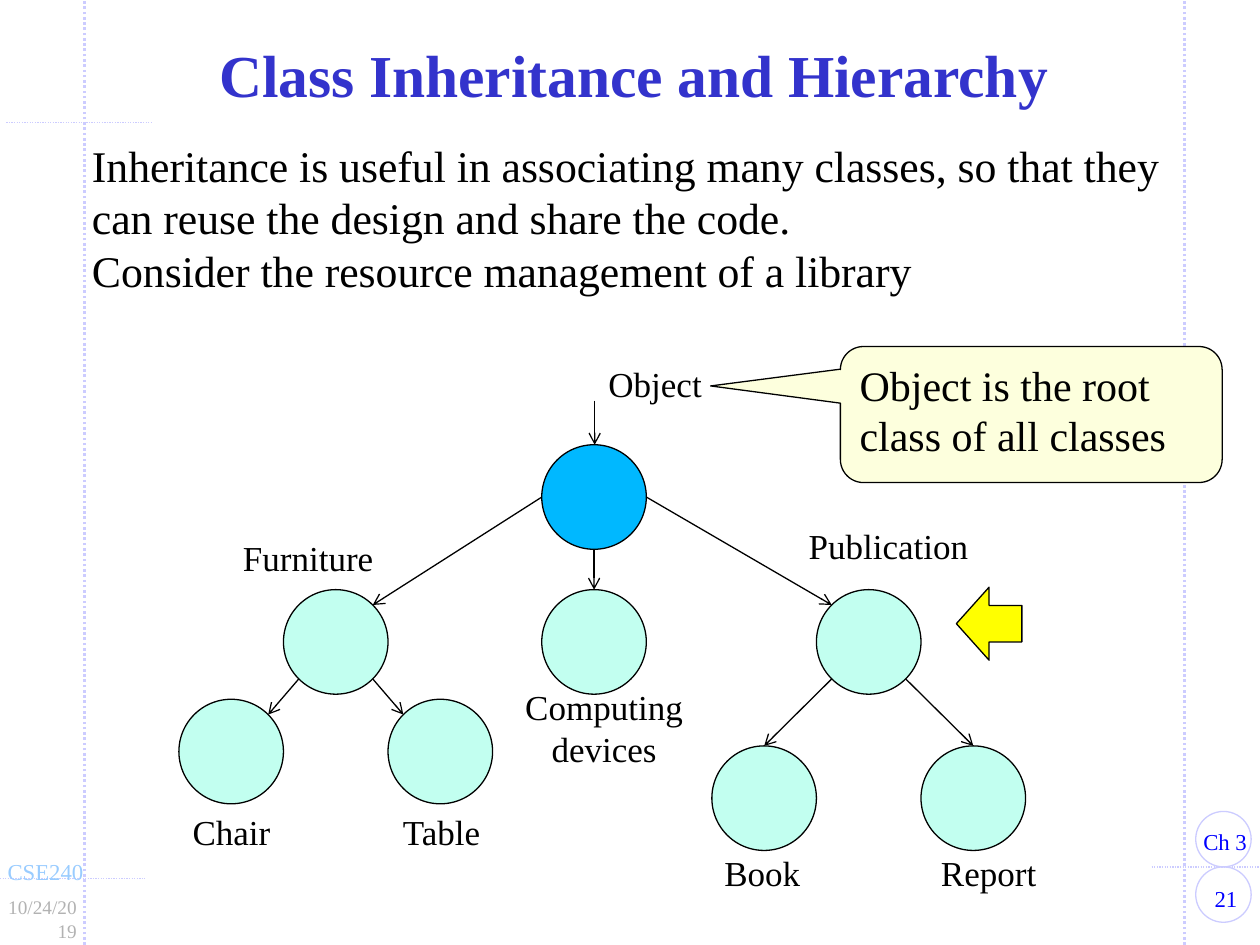
import math

import pptx
import pptx.dml.color
import pptx.enum.dml
import pptx.enum.shapes
import pptx.enum.text
import pptx.oxml
import pptx.oxml.ns
import pptx.util

shape_type = pptx.enum.shapes.MSO_SHAPE
align = pptx.enum.text.PP_ALIGN
anchor = pptx.enum.text.MSO_ANCHOR
color = pptx.dml.color.RGBColor.from_string
qn = pptx.oxml.ns.qn

deck = pptx.Presentation()
deck.slide_width = pptx.util.Inches(10)
deck.slide_height = pptx.util.Inches(7.5)
slide = deck.slides.add_slide(deck.slide_layouts[1])
shapes = slide.shapes

# Grid of 10 columns by 7.5 rows
COL = deck.slide_width / 10
ROW = deck.slide_height / 7.5
BLACK, PALE, GUIDE, MINT = "000000", "FDFFDD", "CCCCFF", "C2FFF0"


def grid(left, top, width, height):
    return int(left * COL), int(top * ROW), int(width * COL), int(height * ROW)


def write(shape, text, size=20, ink=BLACK, bold=False, alignment=align.LEFT,
          vertical=anchor.TOP, wrap=True, spacing=None, inset=0.1):
    frame = shape.text_frame
    frame.text = text
    frame.word_wrap = wrap
    frame.auto_size = pptx.enum.text.MSO_AUTO_SIZE.NONE
    frame.vertical_anchor = vertical
    frame.margin_left = frame.margin_right = pptx.util.Inches(inset)
    frame.margin_top = frame.margin_bottom = pptx.util.Inches(0.05)
    for paragraph in frame.paragraphs:
        paragraph.alignment = alignment
        paragraph.space_before = pptx.util.Pt(0)
        paragraph.line_spacing = spacing
        for run in paragraph.runs:
            run.font.name = "Times New Roman"
            run.font.size = pptx.util.Pt(size)
            run.font.bold = bold
            run.font.color.rgb = color(ink)


# Title and introduction
title = shapes.title
title.left, title.top, title.width, title.height = grid(0.62, 0.28, 8.82, 0.7)
write(title, "Class Inheritance and Hierarchy", size=34, ink="3333CC", bold=True,
      alignment=align.CENTER, vertical=anchor.MIDDLE, spacing=0.85, inset=0.11)

intro = slide.placeholders[1]
intro.left, intro.top, intro.width, intro.height = grid(0.62, 1.05, 9.08, 1.37)
write(intro, "Inheritance is useful in associating many classes, so that they can reuse "
      "the design and share the code.\nConsider the resource management of a library",
      size=25, inset=0.11)
for paragraph in intro.text_frame.paragraphs:
    properties = paragraph._p.get_or_add_pPr()
    properties.set("marL", "0")
    properties.set("indent", "0")
    properties.append(pptx.oxml.parse_xml(
        '<a:buNone xmlns:a="http://schemas.openxmlformats.org/drawingml/2006/main"/>'))

# Class tree: left and top of each circle
SIZE = 0.83
RADIUS = SIZE / 2
tree = {
    "Object": (4.3, 3.53),
    "Furniture": (2.25, 4.68),
    "Computing devices": (4.3, 4.68),
    "Publication": (6.48, 4.68),
    "Chair": (1.42, 5.55),
    "Table": (3.08, 5.55),
    "Book": (5.65, 5.92),
    "Report": (7.31, 5.92),
}
# Parent, angle where the arrow leaves, child, angle where it arrives
# (degrees clockwise from the right)
inheritance = [
    ("Object", 180, "Furniture", 315),
    ("Object", 90, "Computing devices", 270),
    ("Object", 0, "Publication", 225),
    ("Furniture", 135, "Chair", 315),
    ("Furniture", 45, "Table", 225),
    ("Publication", 135, "Book", 270),
    ("Publication", 45, "Report", 270),
]

# Lines: guides and inheritance arrows
lines = [
    (0.67, 7.5, 0.67, 0, 1.5, False),
    (9.4, 7.5, 9.4, 0, 1.5, False),
    (0, 6.97, 1.15, 6.97, 0.75, False),
    (9.14, 6.88, 10, 6.88, 0.75, False),
    (0.05, 0.97, 1.2, 0.97, 0.75, False),
    (4.72, 3.18, 4.72, 3.53, 0.75, True),
]
for parent, leave, child, arrive in inheritance:
    ends = []
    for name, degrees in ((parent, leave), (child, arrive)):
        left, top = tree[name]
        angle = math.radians(degrees)
        ends += [left + RADIUS * (1 + math.cos(angle)),
                 top + RADIUS * (1 + math.sin(angle))]
    lines.append((*ends, 0.75, True))

for x1, y1, x2, y2, width, is_arrow in lines:
    link = shapes.add_connector(pptx.enum.shapes.MSO_CONNECTOR.STRAIGHT,
                                *grid(x1, y1, x2, y2))
    link.line.color.rgb = color(BLACK if is_arrow else GUIDE)
    link.line.width = pptx.util.Pt(width)
    properties = link.element.spPr
    if is_arrow:
        head = properties.find(qn("a:ln")).makeelement(qn("a:tailEnd"), {"type": "arrow"})
        properties.find(qn("a:ln")).append(head)
    else:
        link.line.dash_style = pptx.enum.dml.MSO_LINE.ROUND_DOT
    properties.append(properties.makeelement(qn("a:effectLst"), {}))

# Circles, root callout and pointer
figures = [(shape_type.OVAL, (9.49, top, 0.44, 0.44), None, GUIDE) for top in (6.44, 6.88)]
for name, (left, top) in tree.items():
    fill = "00B8FF" if name == "Object" else MINT
    figures.append((shape_type.OVAL, (left, top, SIZE, SIZE), fill, BLACK))
figures += [
    (shape_type.LEFT_ARROW, (7.59, 4.66, 0.52, 0.58), "FFFF00", BLACK),
    (shape_type.ROUNDED_RECTANGULAR_CALLOUT, (6.67, 2.75, 3.03, 1.08), PALE, BLACK),
]
for kind, place, fill, outline in figures:
    figure = shapes.add_shape(kind, *grid(*place))
    figure.shadow.inherit = False
    if fill:
        figure.fill.solid()
        figure.fill.fore_color.rgb = color(fill)
    else:
        figure.fill.background()
    figure.line.color.rgb = color(outline)
    figure.line.width = pptx.util.Pt(0.75)
    if kind == shape_type.ROUNDED_RECTANGULAR_CALLOUT:
        for index, value in enumerate((-0.84, -0.21, 0.17)):
            figure.adjustments[index] = value
        write(figure, "Object is the root class of all classes", size=24)

# Class names
for name, place in [
    ("Object", (4.73, 2.83, 1.35, 0.62)),
    ("Furniture", (1.83, 4.21, 1.77, 0.62)),
    ("Publication", (6.32, 4.11, 2.1, 0.62)),
    ("Computing devices", (4.01, 5.39, 1.57, 0.77)),
    ("Chair", (1.43, 6.38, 1.17, 0.62)),
    ("Table", (3.1, 6.38, 1.17, 0.62)),
    ("Book", (5.65, 6.71, 1.15, 0.62)),
    ("Report", (7.37, 6.71, 0.96, 0.44)),
]:
    write(shapes.add_textbox(*grid(*place)), name,
          alignment=align.CENTER if " " in name else align.LEFT)

# Course, date, chapter and page
for text, place, style in [
    ("CSE240", (-0.05, 6.76, 0.81, 0.32), dict(size=13, ink="99CCFF", wrap=False)),
    ("10/24/2019", (-0.11, 7.06, 0.83, 0.29), dict(size=11, ink="B2B2B2", alignment=align.RIGHT)),
    ("Ch 3", (9.44, 6.52, 0.56, 0.32), dict(size=13, ink="0000FF", wrap=False)),
    ("21", (9.44, 6.97, 0.58, 0.32), dict(size=13, ink="0000FF", alignment=align.CENTER)),
]:
    write(shapes.add_textbox(*grid(*place)), text, inset=0.11, **style)

deck.save("out.pptx")
